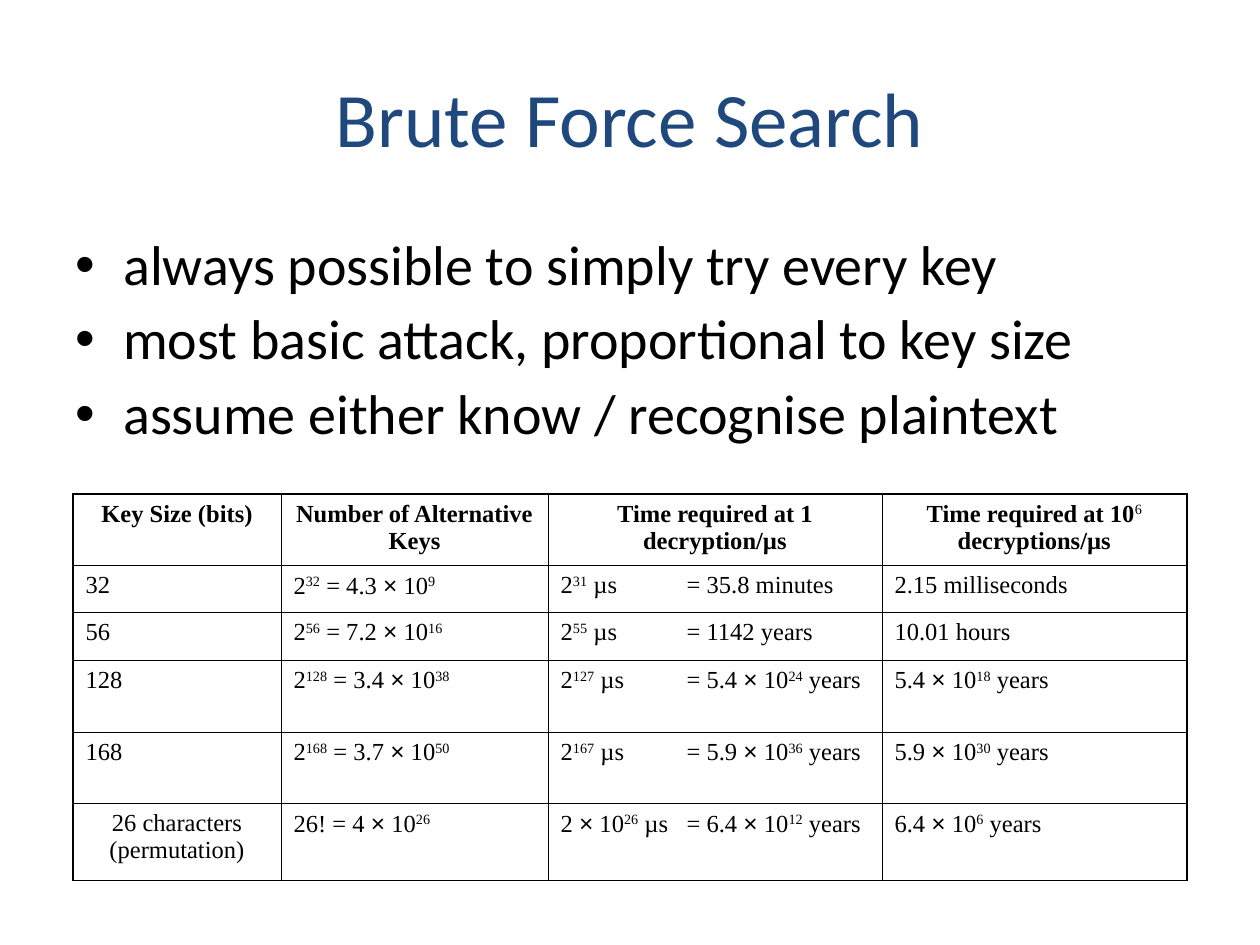
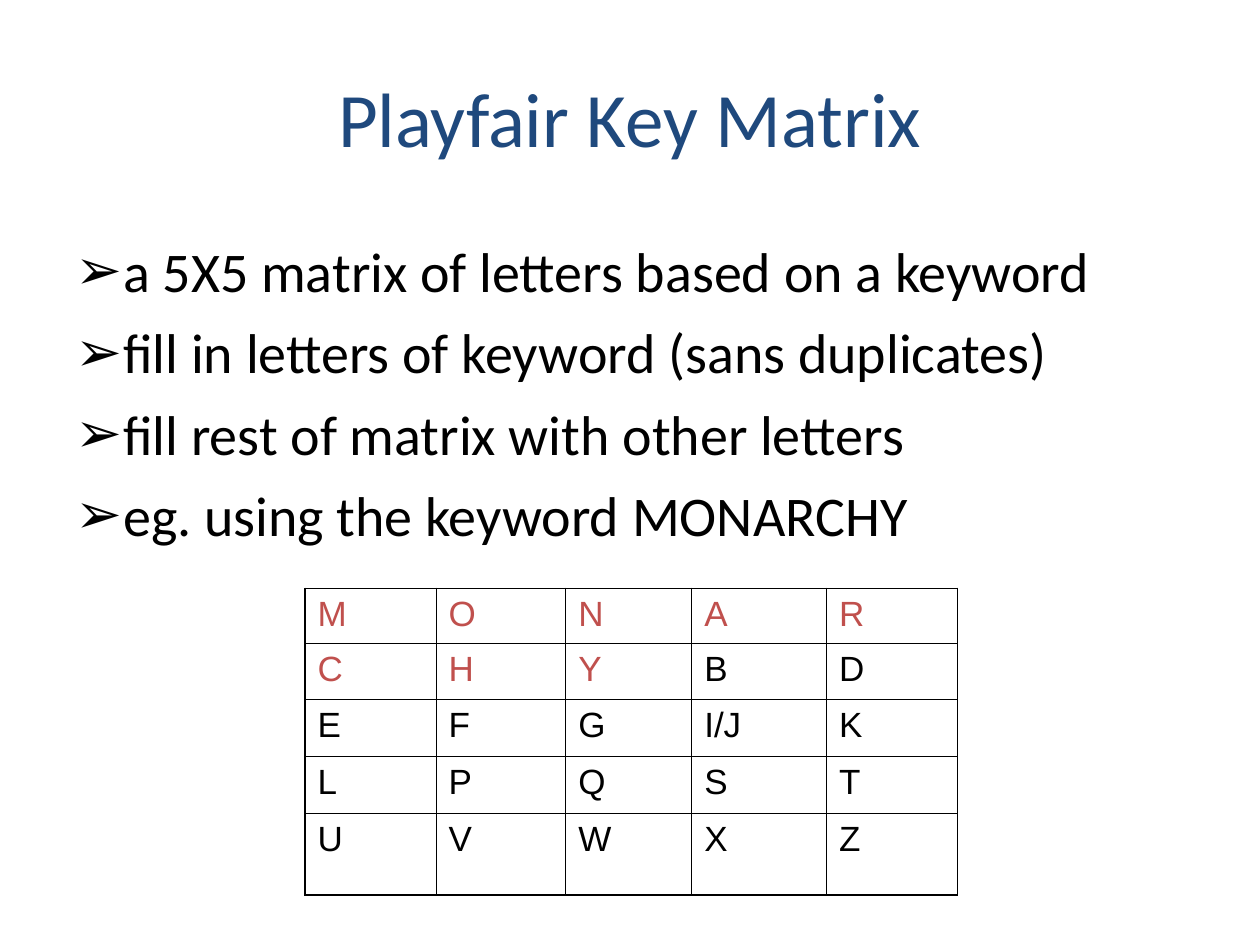
from lxml.etree import SubElement
from pptx import Presentation
from pptx.dml.color import RGBColor
from pptx.enum.text import MSO_ANCHOR as Anchor, PP_ALIGN as Align
from pptx.oxml.ns import qn
from pptx.util import Inches, Pt

NAVY = RGBColor(0x1F, 0x49, 0x7D)
RED = RGBColor(0xC0, 0x50, 0x4D)
BLACK = RGBColor(0, 0, 0)
OUTER_LINE, INNER_LINE = Pt(1.08), Pt(0.45)


def write_text(frame, text, size, font, color=BLACK, bold=False, align=Align.LEFT,
               bullet=None, line_spacing=None, space_before=0, tab=None):
    frame.word_wrap = True
    for row, line in enumerate(text.split("\n")):
        para = frame.add_paragraph() if row else frame.paragraphs[0]
        props = para._p.get_or_add_pPr()
        if bullet:
            props.set("marL", str(Inches(0.38)))
            props.set("indent", str(-Inches(0.38)))
            SubElement(SubElement(props, qn("a:buClr")), qn("a:srgbClr"), val=str(color))
            SubElement(props, qn("a:buFont"), typeface="Arial")
            SubElement(props, qn("a:buChar"), char=bullet)
        if tab:
            SubElement(SubElement(props, qn("a:tabLst")), qn("a:tab"), pos=str(tab), algn="l")
        para.alignment = align
        if line_spacing:
            para.line_spacing = line_spacing
        if row and space_before:
            para.space_before = Pt(space_before)
        for index, piece in enumerate(line.split("^")):
            raised = index % 2 == 1
            for part in filter(None, piece.partition("×")):
                span = para.add_run()
                span.text = part
                span.font.size = Pt(size)
                span.font.name = "Arial" if part == "×" else font
                span.font.color.rgb = color
                span.font.bold = bold and not raised
                if raised:
                    span.font._element.set("baseline", "30000")


def add_grid(page, left, top, widths, heights):
    frame = page.shapes.add_table(len(heights), len(widths), Inches(left), Inches(top),
                                  Inches(sum(widths)), Inches(sum(heights)))
    table = frame.table
    table.first_row = table.horz_banding = False
    for column, width in zip(table.columns, widths):
        column.width = Inches(width)
    for row, height in zip(table.rows, heights):
        row.height = Inches(height)
    for r in range(len(heights)):
        for c in range(len(widths)):
            cell = table.cell(r, c)
            edges = {"a:lnL": c == 0, "a:lnR": c == len(widths) - 1,
                     "a:lnT": r == 0, "a:lnB": r == len(heights) - 1}
            for tag, outer in edges.items():
                line = SubElement(cell._tc.get_or_add_tcPr(), qn(tag),
                                  w=str(OUTER_LINE if outer else INNER_LINE))
                fill = SubElement(line, qn("a:solidFill"))
                SubElement(fill, qn("a:srgbClr"), val=str(BLACK))
            cell.fill.background()
    return table


deck = Presentation()
deck.slide_width, deck.slide_height = Inches(10), Inches(7.5)

topics = [
    ("Brute Force Search", "•", 0.9, 2,
     "always possible to simply try every key\n"
     "most basic attack, proportional to key size\n"
     "assume either know / recognise plaintext"),
    ("Playfair Key Matrix", "➢", None, 2.92,
     "a 5X5 matrix of letters based on a keyword\n"
     "fill in letters of keyword (sans duplicates)\n"
     "fill rest of matrix with other letters\n"
     "eg. using the keyword MONARCHY"),
]
pages = []
for title, bullet, spacing, height, points in topics:
    page = deck.slides.add_slide(deck.slide_layouts[6])
    pages.append(page)
    box = page.shapes.add_textbox(Inches(0.5), Inches(0.3), Inches(9), Inches(1.25))
    box.text_frame.vertical_anchor = Anchor.MIDDLE
    write_text(box.text_frame, title, 44, "Calibri", color=NAVY, align=Align.CENTER)
    box = page.shapes.add_textbox(Inches(0.5), Inches(1.83), Inches(9), Inches(height))
    write_text(box.text_frame, points, 32, "Calibri", bullet=bullet,
               line_spacing=spacing, space_before=8)

search_page, matrix_page = pages

search_times = [
    ["Key Size (bits)", "Number of Alternative Keys",
     "Time required at 1 decryption/µs", "Time required at 10^6^ decryptions/µs"],
    ["32", "2^32^ = 4.3 × 10^9^", "2^31^ µs\t= 35.8 minutes", "2.15 milliseconds"],
    ["56", "2^56^ = 7.2 × 10^16^", "2^55^ µs\t= 1142 years", "10.01 hours"],
    ["128", "2^128^ = 3.4 × 10^38^", "2^127^ µs\t= 5.4 × 10^24^ years", "5.4 × 10^18^ years"],
    ["168", "2^168^ = 3.7 × 10^50^", "2^167^ µs\t= 5.9 × 10^36^ years", "5.9 × 10^30^ years"],
    ["26 characters (permutation)", "26! = 4 × 10^26^",
     "2 × 10^26^ µs\t= 6.4 × 10^12^ years", "6.4 × 10^6^ years"],
]
table = add_grid(search_page, 0.58, 3.92, [1.65, 2.12, 2.65, 2.42],
                 [0.57, 0.37, 0.38, 0.57, 0.57, 0.61])
for r, values in enumerate(search_times):
    for c, value in enumerate(values):
        centered = r == 0 or value.startswith("26 characters")
        write_text(table.cell(r, c).text_frame, value, 14, "Times New Roman", bold=r == 0,
                   align=Align.CENTER if centered else Align.LEFT,
                   tab=Inches(1) if "\t" in value else None)

key_matrix = ["M O N A R", "C H Y B D", "E F G I/J K", "L P Q S T", "U V W X Z"]
table = add_grid(matrix_page, 2.42, 4.67, [1.04, 1.03, 1, 1.07, 1.04],
                 [0.43, 0.45, 0.45, 0.45, 0.65])
for r, letters in enumerate(key_matrix):
    for c, letter in enumerate(letters.split()):
        write_text(table.cell(r, c).text_frame, letter, 20, "Arial",
                   color=RED if letter in "MONARCHY" else BLACK)

deck.save("out.pptx")
